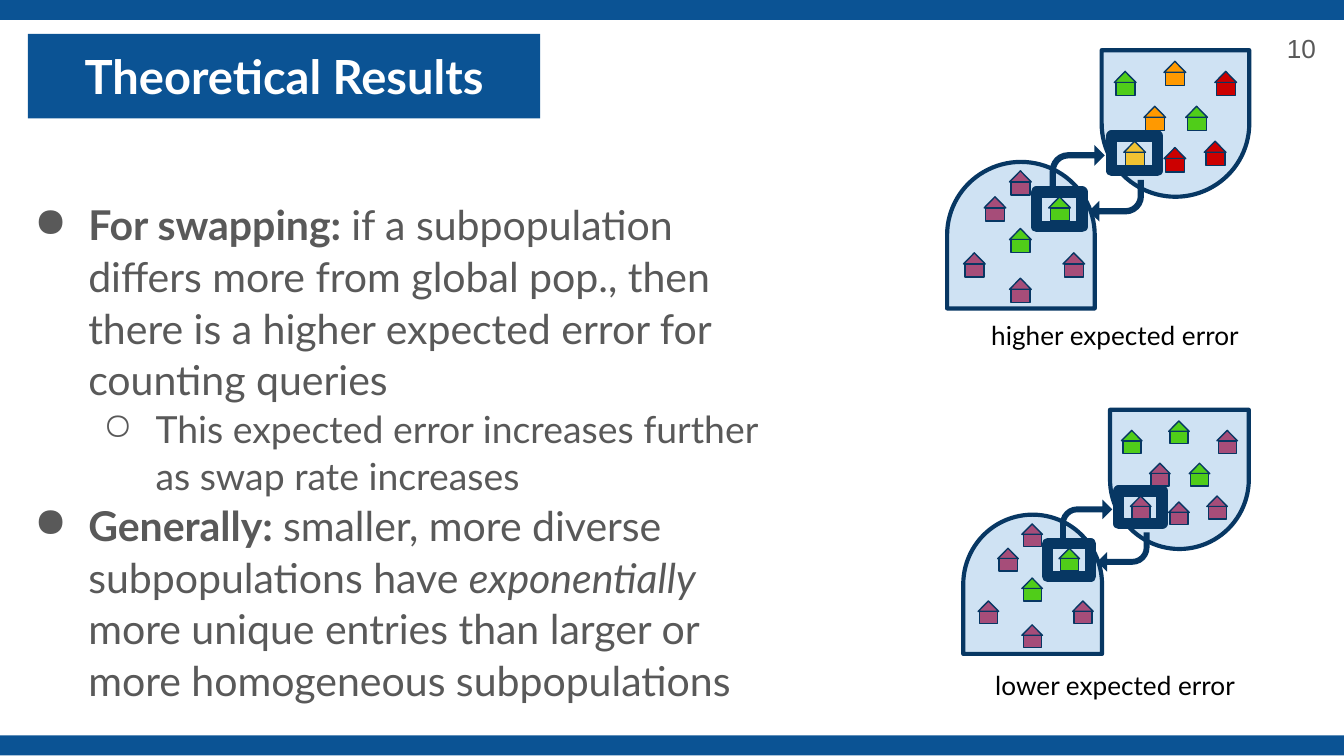
import pptx
import pptx.dml.color
import pptx.enum.shapes
import pptx.enum.text
import pptx.oxml
import pptx.oxml.ns
import pptx.util

Cm = pptx.util.Cm
Pt = pptx.util.Pt
SHAPE = pptx.enum.shapes.MSO_SHAPE
ALIGN = pptx.enum.text.PP_ALIGN
ANCHOR = pptx.enum.text.MSO_ANCHOR


class Theme:
    font = "Lato"
    number_font = "Arial"
    title_size = 25.2
    body_size = 22
    sub_size = 20
    label_size = 14
    blue = "0B5394"
    navy = "073763"
    pale = "CFE2F3"
    gray = "595959"
    white = "FFFFFF"
    black = "000000"
    red = "CC0000"
    orange = "FF9900"
    yellow = "F1C232"
    green = "50CD19"
    plum = "A64D79"


# House places inside a diagram, in cm from its top left corner
UPPER_HOUSES = [(5.05, 0.41), (4.09, 0.22), (3.15, 0.41), (4.5, 1.07),
                (3.71, 1.07), (4.09, 1.85), (3.33, 1.73), (4.85, 1.73)]
LOWER_HOUSES = [(2.18, 3.84), (1.17, 4.32), (0.3, 3.84), (1.17, 3.38),
                (1.91, 2.78), (0.69, 2.78), (1.17, 2.29)]
LOWER_COLORS = [Theme.plum] * 3 + [Theme.green] * 2 + [Theme.plum] * 2
DIVERSE = [Theme.red, Theme.orange, Theme.green, Theme.green,
           Theme.orange, Theme.red, Theme.yellow, Theme.red]
SIMILAR = [Theme.plum] + [Theme.green] * 3 + [Theme.plum] * 4

BODY = [
    (0, [("For swapping: ", "bold"),
         ("if a subpopulation differs more from global pop., then there is "
          "a higher expected error for counting queries", "")]),
    (1, [("This expected error increases further as swap rate increases", "")]),
    (0, [("Generally: ", "bold"),
         ("smaller, more diverse subpopulations have ", ""),
         ("exponentially", "italic"),
         (" more unique entries than larger or more homogeneous "
          "subpopulations", "")]),
]


def rgb(color):
    return pptx.dml.color.RGBColor.from_string(color)


def add_box(slide, kind, box, fill=None, line=None, width=0.75, rotation=0):
    shape = slide.shapes.add_shape(kind, *[Cm(value) for value in box])
    shape.shadow.inherit = False
    shape.rotation = rotation
    if fill:
        shape.fill.solid()
        shape.fill.fore_color.rgb = rgb(fill)
    else:
        shape.fill.background()
    if line:
        shape.line.color.rgb = rgb(line)
        shape.line.width = Pt(width)
    else:
        shape.line.fill.background()
    return shape


def prepare_frame(shape, anchor=ANCHOR.TOP):
    frame = shape.text_frame
    frame.word_wrap = True
    frame.vertical_anchor = anchor
    frame.margin_left = frame.margin_right = Cm(0.25)
    frame.margin_top = frame.margin_bottom = Cm(0.25)
    return frame


def style_font(font, size, color, name=Theme.font):
    font.name = name
    font.size = Pt(size)
    font.color.rgb = rgb(color)


def add_label(slide, text, box, align, color, name=Theme.font,
              anchor=ANCHOR.TOP):
    shape = slide.shapes.add_textbox(*[Cm(value) for value in box])
    frame = prepare_frame(shape, anchor)
    frame.text = text
    paragraph = frame.paragraphs[0]
    paragraph.alignment = align
    style_font(paragraph.runs[0].font, Theme.label_size, color, name)


def add_title(slide, text):
    shape = add_box(slide, SHAPE.RECTANGLE, (0.53, 0.64, 9.68, 1.6), Theme.blue)
    frame = prepare_frame(shape, ANCHOR.MIDDLE)
    frame.text = text
    paragraph = frame.paragraphs[0]
    paragraph.alignment = ALIGN.CENTER
    font = paragraph.runs[0].font
    style_font(font, Theme.title_size, Theme.white)
    font.bold = True


def set_bullet(paragraph, level):
    properties = paragraph._p.get_or_add_pPr()
    properties.set("marL", str(Cm(1.27 * (level + 1))))
    properties.set("indent", str(Cm(-0.99 if level else -1.02)))
    namespace = pptx.oxml.ns.nsdecls("a")
    for xml in (f'<a:buClr {namespace}><a:srgbClr val="{Theme.gray}"/></a:buClr>',
                f'<a:buChar {namespace} char="{"●○"[level]}"/>'):
        properties.append(pptx.oxml.parse_xml(xml))


def add_body(slide):
    shape = slide.shapes.add_textbox(Cm(0.15), Cm(3.48), Cm(14.91), Cm(10.29))
    frame = prepare_frame(shape)
    for index, (level, parts) in enumerate(BODY):
        paragraph = frame.add_paragraph() if index else frame.paragraphs[0]
        paragraph.level = level
        paragraph.line_spacing = 1.05
        set_bullet(paragraph, level)
        for text, emphasis in parts:
            run = paragraph.add_run()
            run.text = text
            size = Theme.sub_size if level else Theme.body_size
            style_font(run.font, size, Theme.gray)
            run.font.bold = emphasis == "bold"
            run.font.italic = emphasis == "italic"


def add_swap_diagram(slide, left, top, scale_x, scale_y, upper_colors):
    def place(x, y, width, height):
        return (left + x * scale_x, top + y * scale_y,
                width * scale_x, height * scale_y)

    # Two regions
    for x, y, rotation in ((0, 2.11, 270), (2.92, 0, 90)):
        add_box(slide, SHAPE.FLOWCHART_DELAY, place(x, y, 2.77, 2.79),
                Theme.pale, Theme.navy, 2.25, rotation)

    # Houses: a roof on a wall
    houses = zip(UPPER_HOUSES + LOWER_HOUSES, upper_colors + LOWER_COLORS)
    for (x, y), color in houses:
        add_box(slide, SHAPE.ISOSCELES_TRIANGLE, place(x, y, 0.41, 0.21),
                color, Theme.navy)
        add_box(slide, SHAPE.RECTANGLE, place(x + 0.03, y + 0.21, 0.36, 0.25),
                color, Theme.navy)

    # Frames around the swapped pair
    for x, y in ((1.68, 2.69), (3.1, 1.63)):
        add_box(slide, SHAPE.RECTANGLE, place(x, y, 0.86, 0.66),
                line=Theme.navy, width=6)

    # Swap arrows
    for x, y, rotation in ((1.93, 1.8, 0), (2.67, 2.46, 180)):
        arrow = add_box(slide, SHAPE.BENT_ARROW, place(x, y, 1.04, 0.79),
                        Theme.navy, rotation=rotation)
        for index, value in enumerate((0.15, 0.25, 0.25, 0.44)):
            arrow.adjustments[index] = value


def main():
    presentation = pptx.Presentation()
    presentation.slide_width = Cm(25.4)
    presentation.slide_height = Cm(14.29)
    slide = presentation.slides.add_slide(presentation.slide_layouts[6])

    # Text and edge bars
    add_body(slide)
    add_title(slide, "Theoretical Results")
    for top in (13.9, 0):
        add_box(slide, SHAPE.RECTANGLE, (-0.25, top, 25.93, 0.38), Theme.blue)

    # Diagrams and captions
    add_swap_diagram(slide, 17.91, 0.94, 1, 1, DIVERSE)
    add_swap_diagram(slide, 18.2, 7.75, 0.95, 0.94, SIMILAR)
    for text, top in (("higher expected error", 5.79),
                      ("lower expected error", 12.4)):
        add_label(slide, text, (18.19, top, 5.77, 1.12), ALIGN.CENTER,
                  Theme.black)

    # Slide number
    add_label(slide, "10", (23.29, 0.23, 1.83, 1.35), ALIGN.RIGHT, Theme.gray,
              Theme.number_font, ANCHOR.MIDDLE)
    presentation.save("out.pptx")


if __name__ == "__main__":
    main()
